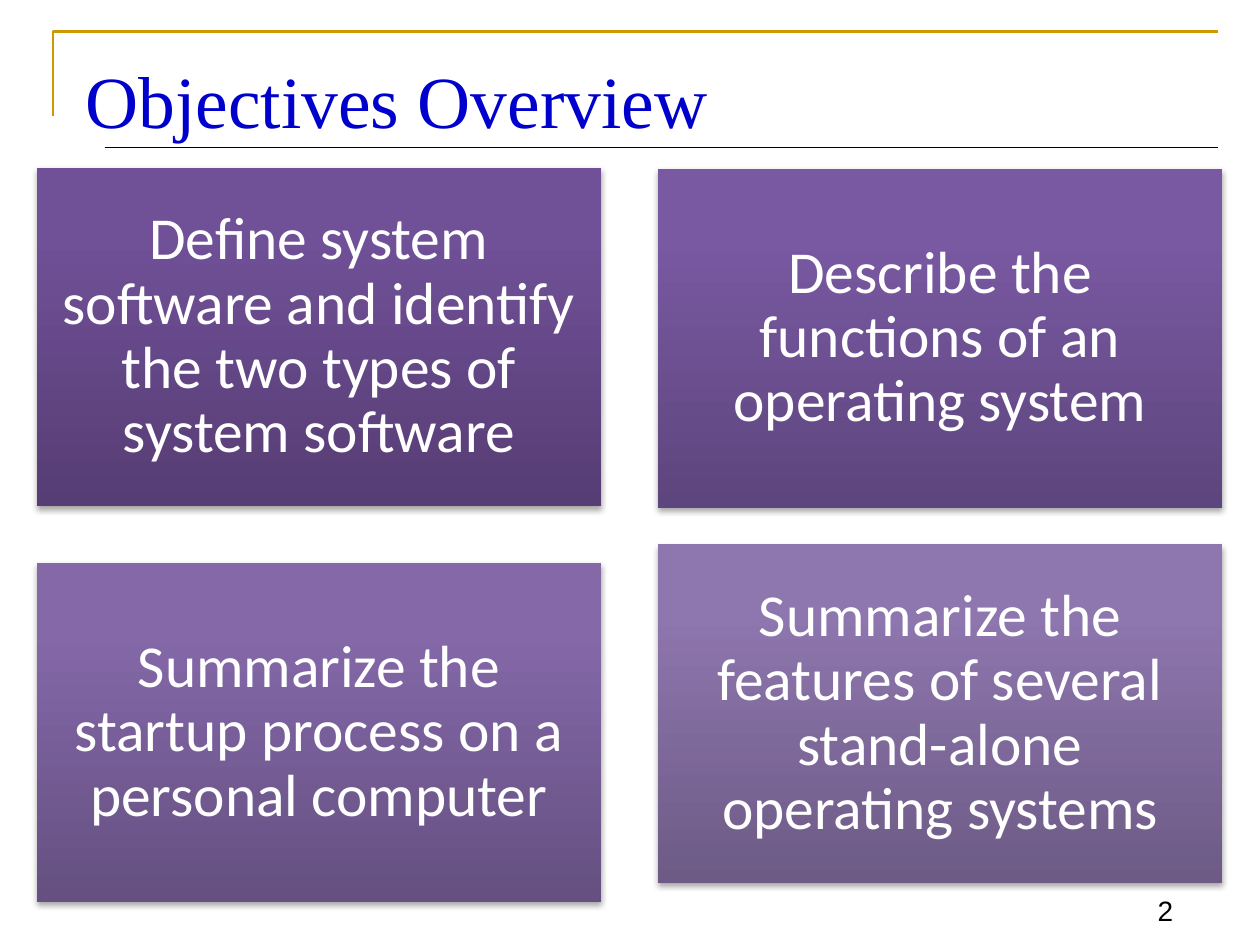
from dataclasses import dataclass

from lxml.etree import SubElement
from pptx import Presentation
from pptx.dml.color import RGBColor
from pptx.enum.shapes import MSO_CONNECTOR, MSO_SHAPE
from pptx.enum.text import MSO_ANCHOR, MSO_AUTO_SIZE, PP_ALIGN
from pptx.oxml.ns import qn
from pptx.util import Inches, Pt


@dataclass(frozen=True)
class Theme:
    gold: str = "CC9900"
    black: str = "000000"
    title_blue: str = "0000CC"
    white: str = "FFFFFF"
    title_size: int = 42
    card_size: int = 34
    number_size: int = 16
    title_font: str = "Times New Roman"
    card_font: str = "Calibri"
    number_font: str = "Arial"


@dataclass(frozen=True)
class Card:
    text: str
    column: int
    top: float
    gradient: tuple[str, str, str]  # from the bottom edge upwards


THEME = Theme()
CARD_LEFT, CARD_WIDTH, CARD_HEIGHT, CARD_GAP = 0.29, 4.48, 2.69, 0.45
GRADIENT_POSITIONS = (0, 80, 100)
CARDS = (
    Card("Define system software and identify the two types of system software",
         0, 1.33, ("563D74", "705097", "704F99")),
    Card("Describe the functions of an operating system",
         1, 1.34, ("5D457D", "7959A2", "7A58A4")),
    Card("Summarize the startup process on a personal computer",
         0, 4.47, ("655081", "8468A8", "8467AA")),
    Card("Summarize the features of several stand-alone operating systems",
         1, 4.32, ("6D5B86", "8E76AE", "8E75B0")),
)


def set_text(text_frame, text: str, font: str, size: int, color: str,
             alignment, anchor) -> None:
    text_frame.text = text
    text_frame.word_wrap = True
    text_frame.auto_size = MSO_AUTO_SIZE.NONE
    text_frame.vertical_anchor = anchor
    paragraph = text_frame.paragraphs[0]
    paragraph.alignment = alignment
    run_font = paragraph.runs[0].font
    run_font.name = font
    run_font.size = Pt(size)
    run_font.color.rgb = RGBColor.from_string(color)


def set_gradient(shape, colors: tuple[str, str, str]) -> None:
    shape.fill.gradient()
    shape.fill.gradient_angle = 90
    stops = shape._element.spPr.find(f"{qn('a:gradFill')}/{qn('a:gsLst')}")
    for stop in list(stops):
        stops.remove(stop)
    for position, color in zip(GRADIENT_POSITIONS, colors):
        stop = SubElement(stops, qn("a:gs"), pos=str(position * 1000))
        SubElement(stop, qn("a:srgbClr"), val=color)


def set_soft_shadow(shape) -> None:
    shape.shadow.inherit = False
    effects = shape._element.spPr.find(qn("a:effectLst"))
    shadow = SubElement(effects, qn("a:outerShdw"), blurRad=str(Pt(3.1)),
                        dist=str(Pt(1.8)), dir="5400000", rotWithShape="0")
    color = SubElement(shadow, qn("a:srgbClr"), val=THEME.black)
    SubElement(color, qn("a:alpha"), val="35000")


def add_card(slide, card: Card) -> None:
    left = CARD_LEFT + card.column * (CARD_WIDTH + CARD_GAP)
    shape = slide.shapes.add_shape(
        MSO_SHAPE.RECTANGLE, Inches(left), Inches(card.top),
        Inches(CARD_WIDTH), Inches(CARD_HEIGHT))
    set_gradient(shape, card.gradient)
    shape.line.fill.background()
    set_soft_shadow(shape)
    frame = shape.text_frame
    frame.margin_left = frame.margin_right = Inches(0.14)
    frame.margin_top = frame.margin_bottom = Inches(0.14)
    set_text(frame, card.text, THEME.card_font, THEME.card_size, THEME.white,
             PP_ALIGN.CENTER, MSO_ANCHOR.MIDDLE)
    frame.paragraphs[0].line_spacing = 0.9


def style_line(shape, color: str, width: float) -> None:
    shape.line.color.rgb = RGBColor.from_string(color)
    shape.line.width = Pt(width)


def add_title_frame(slide) -> None:
    # Gold corner above the title
    builder = slide.shapes.build_freeform(Inches(0.42), Inches(0.92))
    builder.add_line_segments(
        [(Inches(0.42), Inches(0.25)), (Inches(9.67), Inches(0.25))], close=False)
    corner = builder.convert_to_shape()
    corner.fill.background()
    corner.shadow.inherit = False
    style_line(corner, THEME.gold, 1.5)

    # Rule below the title
    rule = slide.shapes.add_connector(
        MSO_CONNECTOR.STRAIGHT, Inches(0.83), Inches(1.17), Inches(9.67), Inches(1.17))
    style_line(rule, THEME.black, 0.75)
    SubElement(rule._element.spPr, qn("a:effectLst"))


def main() -> None:
    presentation = Presentation()
    presentation.slide_width, presentation.slide_height = Inches(10), Inches(7.5)
    slide = presentation.slides.add_slide(presentation.slide_layouts[5])
    add_title_frame(slide)

    # Title
    title = slide.shapes.title
    title.left, title.top = Inches(0.58), Inches(0.33)
    title.width, title.height = Inches(9.08), Inches(0.91)
    set_text(title.text_frame, "Objectives Overview", THEME.title_font,
             THEME.title_size, THEME.title_blue, PP_ALIGN.LEFT, MSO_ANCHOR.MIDDLE)

    # Objectives
    for card in CARDS:
        add_card(slide, card)

    # Slide number
    number = slide.shapes.add_textbox(
        Inches(8.75), Inches(6.92), Inches(0.66), Inches(0.49))
    set_text(number.text_frame, "2", THEME.number_font, THEME.number_size,
             THEME.black, PP_ALIGN.RIGHT, MSO_ANCHOR.BOTTOM)

    presentation.save("out.pptx")


if __name__ == "__main__":
    main()
